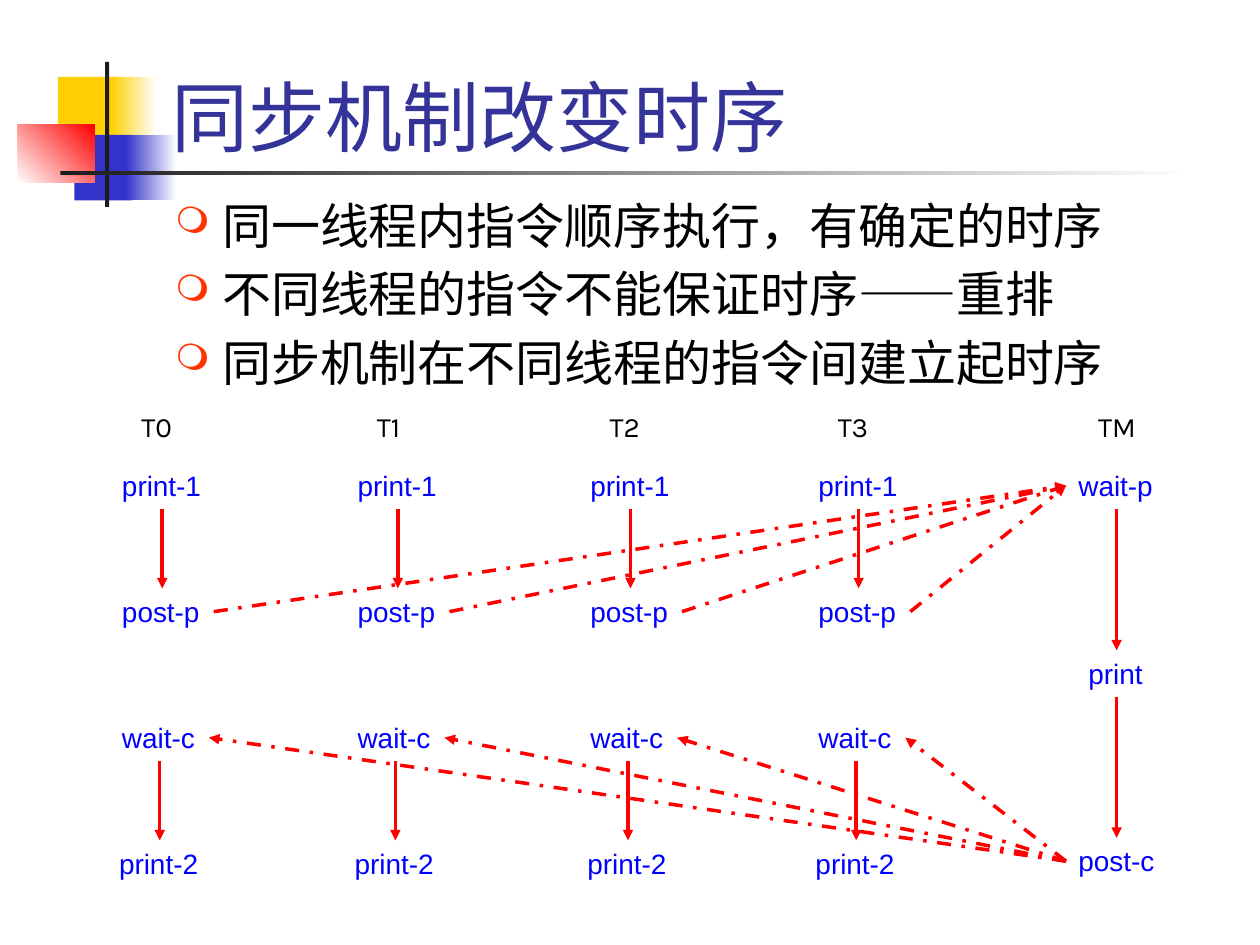
from dataclasses import dataclass

from lxml.etree import SubElement
from pptx import Presentation
from pptx.dml.color import RGBColor
from pptx.enum.dml import MSO_LINE_DASH_STYLE as Dash
from pptx.enum.shapes import MSO_CONNECTOR as Connector, MSO_SHAPE as Shape
from pptx.enum.text import MSO_ANCHOR as Anchor, MSO_AUTO_SIZE as AutoSize
from pptx.oxml.ns import qn
from pptx.util import Cm, Pt

SERIF = "Times New Roman"
RED, BLUE, BLACK, WHITE = "FF0000", "0000FF", "000000", "FFFFFF"
LABEL_HEIGHT = 0.94
STEP_WIDTHS = {"print-1": 2.13, "post-p": 2.1, "wait-c": 2, "print-2": 2.13,
               "wait-p": 2.03, "print": 1.63, "post-c": 2.06}


@dataclass
class Box:
    """A rectangle in centimetres."""
    left: float
    top: float
    width: float
    height: float

    def inner(self, left, top, width, height):
        """Return a box placed relative to this one."""
        return Box(self.left + left, self.top + top, width, height)

    def lengths(self):
        """Return the four measures as lengths."""
        return [Cm(v) for v in (self.left, self.top, self.width, self.height)]

    def middle(self):
        """Return the height of the horizontal centre line."""
        return self.top + self.height / 2


def color(hex_code):
    """Turn a hex string into a colour."""
    return RGBColor.from_string(hex_code)


def add_block(page, box, start, end=None, angle=0):
    """Add a borderless rectangle, plain or fading from start to end."""
    block = page.shapes.add_shape(Shape.RECTANGLE, *box.lengths())
    block.shadow.inherit = False
    block.line.fill.background()
    if end is None:
        block.fill.solid()
        block.fill.fore_color.rgb = color(start)
        return
    block.fill.gradient()
    block.fill.gradient_angle = angle
    for stop, hex_code in zip(block.fill.gradient_stops, (start, end)):
        stop.color.rgb = color(hex_code)


def add_span(para, text, size, font, hex_code):
    """Add one run of text."""
    span = para.add_run()
    span.text = text
    span.font.size = Pt(size)
    span.font.name = font
    span.font.color.rgb = color(hex_code)


def add_frame(page, box, wrap=True):
    """Add a text box and return its frame."""
    frame = page.shapes.add_textbox(*box.lengths()).text_frame
    frame.word_wrap = wrap
    return frame


def add_label(page, box, text, font="Arial", hex_code=BLUE):
    """Add a one-line label and return its box."""
    frame = add_frame(page, box, wrap=False)
    frame.auto_size = AutoSize.SHAPE_TO_FIT_TEXT
    add_span(frame.paragraphs[0], text, 16, font, hex_code)
    return box


def add_step(page, column, left, top, text):
    """Add an instruction label inside a column."""
    box = column.inner(left, top, STEP_WIDTHS[text], LABEL_HEIGHT)
    return add_label(page, box, text)


def add_arrow(page, start, end, dashed=False):
    """Add a red arrow between two points."""
    ends = [Cm(v) for v in (*start, *end)]
    arrow = page.shapes.add_connector(Connector.STRAIGHT, *ends)
    arrow.line.color.rgb = color(RED)
    arrow.line.width = Pt(2)
    if dashed:
        arrow.line.dash_style = Dash.DASH_DOT
    SubElement(arrow.line._get_or_add_ln(), qn("a:tailEnd"), type="triangle")
    SubElement(arrow._element.spPr, qn("a:effectLst"))


def add_down_arrow(page, upper, lower, x):
    """Join two stacked labels by a vertical arrow."""
    add_arrow(page, (x, upper.top + upper.height), (x, lower.top))


def add_ornament(page, box):
    """Add the coloured squares and the crossed bars."""
    blocks = [
        ((0.81, 0.3, 1.22, 1.32), "FFCF01", None, 0),
        ((1.88, 0.3, 0.91, 1.32), "FFCF01", WHITE, 0),
        ((1.14, 1.47, 1.17, 1.32), "3333CC", None, 0),
        ((2.18, 1.47, 1.02, 1.32), "3333CC", WHITE, 0),
        ((0, 1.26, 1.55, 1.18), WHITE, RED, 45),
        ((1.76, 0, 0.08, 2.92), "1C1C1C", None, 0),
        ((0.86, 2.2, 22.86, 0.08), "1C1C1C", WHITE, 0),
    ]
    for place, start, end, angle in blocks:
        add_block(page, box.inner(*place), start, end, angle)


def add_title(page, box, text):
    """Add the slide title."""
    frame = add_frame(page, box)
    frame.vertical_anchor = Anchor.BOTTOM
    add_span(frame.paragraphs[0], text, 44, SERIF, "333399")


def add_bullets(page, box, lines):
    """Add the bulleted statements."""
    frame = add_frame(page, box)
    for index, text in enumerate(lines):
        para = frame.add_paragraph() if index else frame.paragraphs[0]
        para.space_before = Pt(5.6)
        props = para._p.get_or_add_pPr()
        props.set("marL", str(Cm(0.95)))
        props.set("indent", str(-Cm(0.95)))
        tint = SubElement(props, qn("a:buClr"))
        SubElement(tint, qn("a:srgbClr"), val="FF3300")
        SubElement(props, qn("a:buSzPct"), val="75000")
        SubElement(props, qn("a:buChar"), char="❍")
        add_span(para, text, 28, SERIF, BLACK)


def add_worker(page, box, name):
    """Add a worker thread column and return its post and wait labels."""
    add_label(page, box.inner(0.39, 0, 1.17, LABEL_HEIGHT), name, "Karla", BLACK)
    first, post, wait, last = [
        add_step(page, box, left, 1.19 + 2.54 * row, text)
        for row, (left, text) in enumerate(
            [(0, "print-1"), (0, "post-p"), (0, "wait-c"), (-0.06, "print-2")])]
    add_down_arrow(page, first, post, box.left + 1.06)
    add_down_arrow(page, wait, last, box.left + 1.01)
    return post, wait


def add_main_thread(page, box):
    """Add the main thread column and return its wait and post labels."""
    add_label(page, box.inner(0.4, 0, 1.3, LABEL_HEIGHT), "TM", "Karla", BLACK)
    steps = [add_step(page, box, *step) for step in
             [(0, 1.19, "wait-p"), (0.2, 4.98, "print"), (0, 8.76, "post-c")]]
    for upper, lower in zip(steps, steps[1:]):
        add_down_arrow(page, upper, lower, box.left + 1.02)
    return steps[0], steps[-1]


def add_threads(page, box):
    """Add all thread columns and the signals between them."""
    workers = [add_worker(page, box.inner(left, 0, 2.13, box.height), f"T{number}")
               for number, left in enumerate((0, 4.75, 9.44, 14.04))]
    main_wait, main_post = add_main_thread(
        page, box.inner(19.28, 0, 2.06, box.height))
    for post, _ in workers:
        add_arrow(page, (post.left + post.width, post.middle()),
                  (main_wait.left, main_wait.middle()), dashed=True)
    for _, wait in workers:
        add_arrow(page, (main_post.left, main_post.middle()),
                  (wait.left + wait.width, wait.middle()), dashed=True)


def main():
    """Build the slide and save it."""
    deck = Presentation()
    deck.slide_width, deck.slide_height = Cm(25.4), Cm(19.05)
    page = deck.slides.add_slide(deck.slide_layouts[6])
    add_ornament(page, Box(0.36, 1.25, 23.72, 2.92))
    add_title(page, Box(3.2, 0.2, 21.64, 3.18), "同步机制改变时序")
    add_bullets(page, Box(3.28, 3.81, 21.59, 13.13), [
        "同一线程内指令顺序执行，有确定的时序",
        "不同线程的指令不能保证时序——重排",
        "同步机制在不同线程的指令间建立起时序",
    ])
    add_threads(page, Box(2.21, 8.13, 21.34, 9.75))
    deck.save("out.pptx")


if __name__ == "__main__":
    main()
